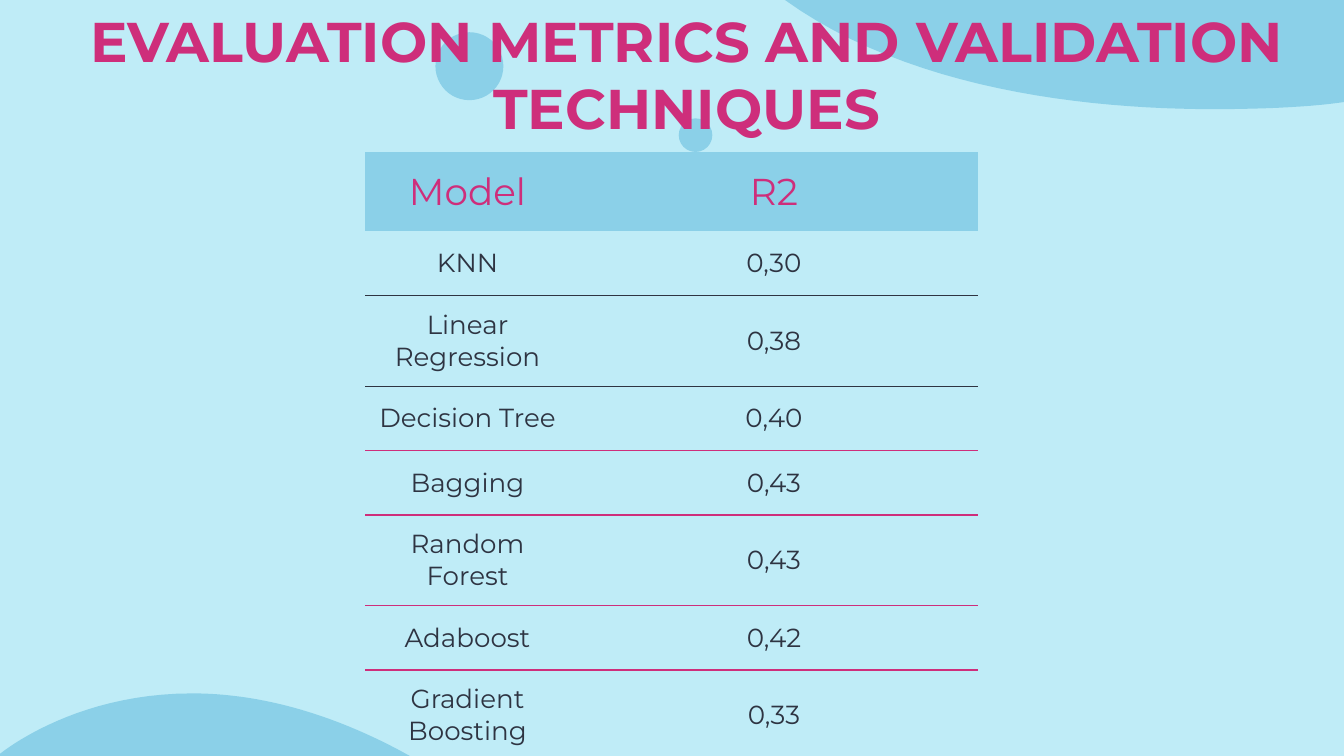
"""Build the slide on evaluation metrics and validation techniques."""
import pptx
import pptx.dml.color
import pptx.enum.shapes
import pptx.enum.text
import pptx.oxml
import pptx.oxml.ns
import pptx.util

Pt = pptx.util.Pt
COLORS = {"sky": "BFECF7", "wave": "8BD0E8", "pink": "CE2E7B", "ink": "2E3442"}
PLAIN_TABLE = "{2D5ABB26-0587-4C30-8999-92F81FD0307C}"
CURVE_STEPS = 24
HEADER = ("Model", "R2")
SCORES = [
    ("KNN", "0,30"),
    ("Linear Regression", "0,38"),
    ("Decision Tree", "0,40"),
    ("Bagging", "0,43"),
    ("Random Forest", "0,43"),
    ("Adaboost", "0,42"),
    ("Gradient Boosting", "0,33"),
]
RULES = ["ink"] * 2 + ["pink"] * 4


def rgb(name):
    return pptx.dml.color.RGBColor.from_string(COLORS[name])


def bezier(start, first, second, end):
    points = []
    for step in range(CURVE_STEPS + 1):
        t = step / CURVE_STEPS
        weights = ((1 - t) ** 3, 3 * t * (1 - t) ** 2, 3 * t * t * (1 - t), t ** 3)
        points.append(tuple(sum(weight * value for weight, value in zip(weights, axis))
                            for axis in zip(start, first, second, end)))
    return points


class SlideBuilder:
    """Hold the style and the current slide."""

    font_name = "Montserrat"
    inset = Pt(7.2)

    def __init__(self, slide):
        self.slide = slide
        slide.background.fill.solid()
        slide.background.fill.fore_color.rgb = rgb("sky")

    def paint(self, shape):
        shape.shadow.inherit = False
        shape.fill.solid()
        shape.fill.fore_color.rgb = rgb("wave")
        shape.line.fill.background()

    def wave(self, points):
        outline = [(Pt(x), Pt(y)) for x, y in points]
        builder = self.slide.shapes.build_freeform(*outline[0])
        builder.add_line_segments(outline[1:], close=True)
        self.paint(builder.convert_to_shape())

    def circle(self, left, top, size):
        oval = pptx.enum.shapes.MSO_SHAPE.OVAL
        self.paint(self.slide.shapes.add_shape(oval, Pt(left), Pt(top), Pt(size), Pt(size)))

    def set_text(self, frame, text, size, color, bold=False):
        frame.text = text
        para = frame.paragraphs[0]
        para.alignment = pptx.enum.text.PP_ALIGN.CENTER
        para.line_spacing = 1
        para.space_before = Pt(0)
        para.font.name = self.font_name
        para.font.size = Pt(size)
        para.font.bold = bold
        para.font.color.rgb = rgb(color)

    def set_insets(self, item):
        item.margin_left = item.margin_right = self.inset
        item.margin_top = item.margin_bottom = self.inset

    def title(self, text, left, top, width, height):
        box = self.slide.shapes.title
        box.left, box.top, box.width, box.height = Pt(left), Pt(top), Pt(width), Pt(height)
        box.element.getparent().append(box.element)
        frame = box.text_frame
        frame.word_wrap = True
        frame.auto_size = pptx.enum.text.MSO_AUTO_SIZE.NONE
        frame.vertical_anchor = pptx.enum.text.MSO_ANCHOR.TOP
        self.set_insets(frame)
        self.set_text(frame, text, 30, "pink", bold=True)

    def border(self, cell, side, color):
        cell_format = cell._tc.get_or_add_tcPr()
        cell_format.append(pptx.oxml.parse_xml(
            f'<a:{side} {pptx.oxml.ns.nsdecls("a")} w="{Pt(0.75)}"><a:solidFill>'
            f'<a:srgbClr val="{COLORS[color]}"/></a:solidFill></a:{side}>'))

    def table(self, rows, left, top, widths, heights):
        frame = self.slide.shapes.add_table(
            len(rows), len(widths), Pt(left), Pt(top), Pt(sum(widths)), Pt(sum(heights)))
        table = frame.table
        style = frame.element.find(".//" + pptx.oxml.ns.qn("a:tableStyleId"))
        style.text = PLAIN_TABLE
        for column, width in zip(table.columns, widths):
            column.width = Pt(width)
        for row, height in zip(table.rows, heights):
            row.height = Pt(height)
        for row_index, row in enumerate(rows):
            for column_index, text in enumerate(row):
                self.fill_cell(table.cell(row_index, column_index), text, row_index)

    def fill_cell(self, cell, text, row_index):
        for side, rule in (("lnT", row_index - 2), ("lnB", row_index - 1)):
            if 0 <= rule < len(RULES):
                self.border(cell, side, RULES[rule])
        self.set_insets(cell)
        cell.vertical_anchor = pptx.enum.text.MSO_ANCHOR.MIDDLE
        if row_index == 0:
            cell.fill.solid()
            cell.fill.fore_color.rgb = rgb("wave")
            self.set_text(cell.text_frame, text, 20, "pink")
        else:
            cell.fill.background()
            self.set_text(cell.text_frame, text, 14, "ink")


def main():
    deck = pptx.Presentation()
    deck.slide_width, deck.slide_height = Pt(720), Pt(405)
    page = SlideBuilder(deck.slides.add_slide(deck.slide_layouts[5]))
    page.wave([(720, 0)]
              + bezier((720, 54.7), (705.6, 56.9), (681.1, 58.5), (650.2, 58.5))
              + bezier((650.2, 58.5), (582.5, 58.5), (487.4, 48.2), (420.5, 0)))
    page.wave(bezier((103, 371.5), (135.4, 371.5), (175, 380.2), (219.6, 405))
              + bezier((-1.4, 405), (-1.4, 405), (37.4, 371.5), (103, 371.5)))
    page.circle(233.3, 17.3, 36.4)
    page.circle(363.6, 63.4, 18)
    page.title("EVALUATION METRICS AND VALIDATION TECHNIQUES", 7.9, -3.6, 720, 93.6)
    page.table([HEADER] + SCORES, 195.8, 81.4, (109.4, 218.9),
               [42.5] + [34.5] * len(SCORES))
    deck.save("out.pptx")


if __name__ == "__main__":
    main()
